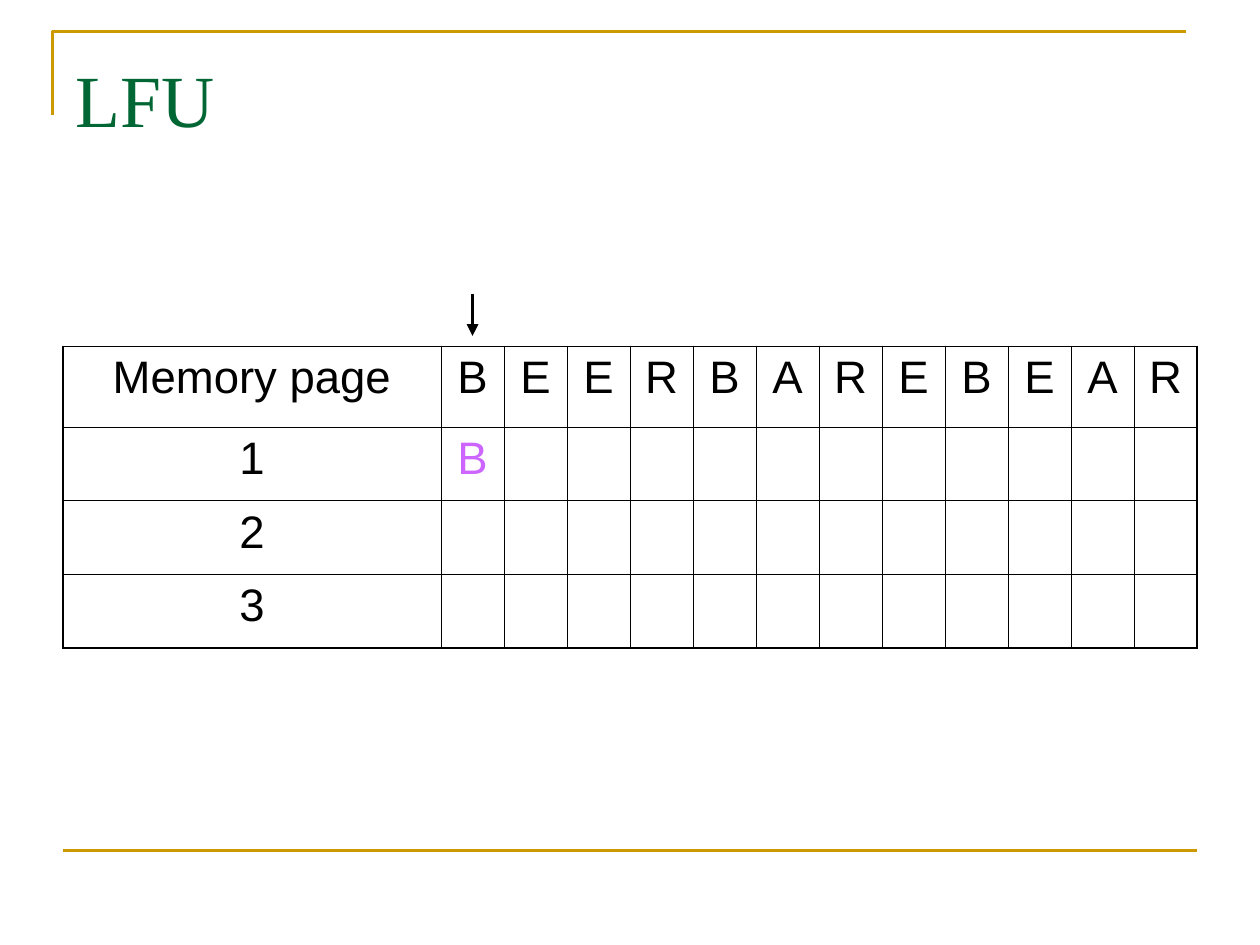
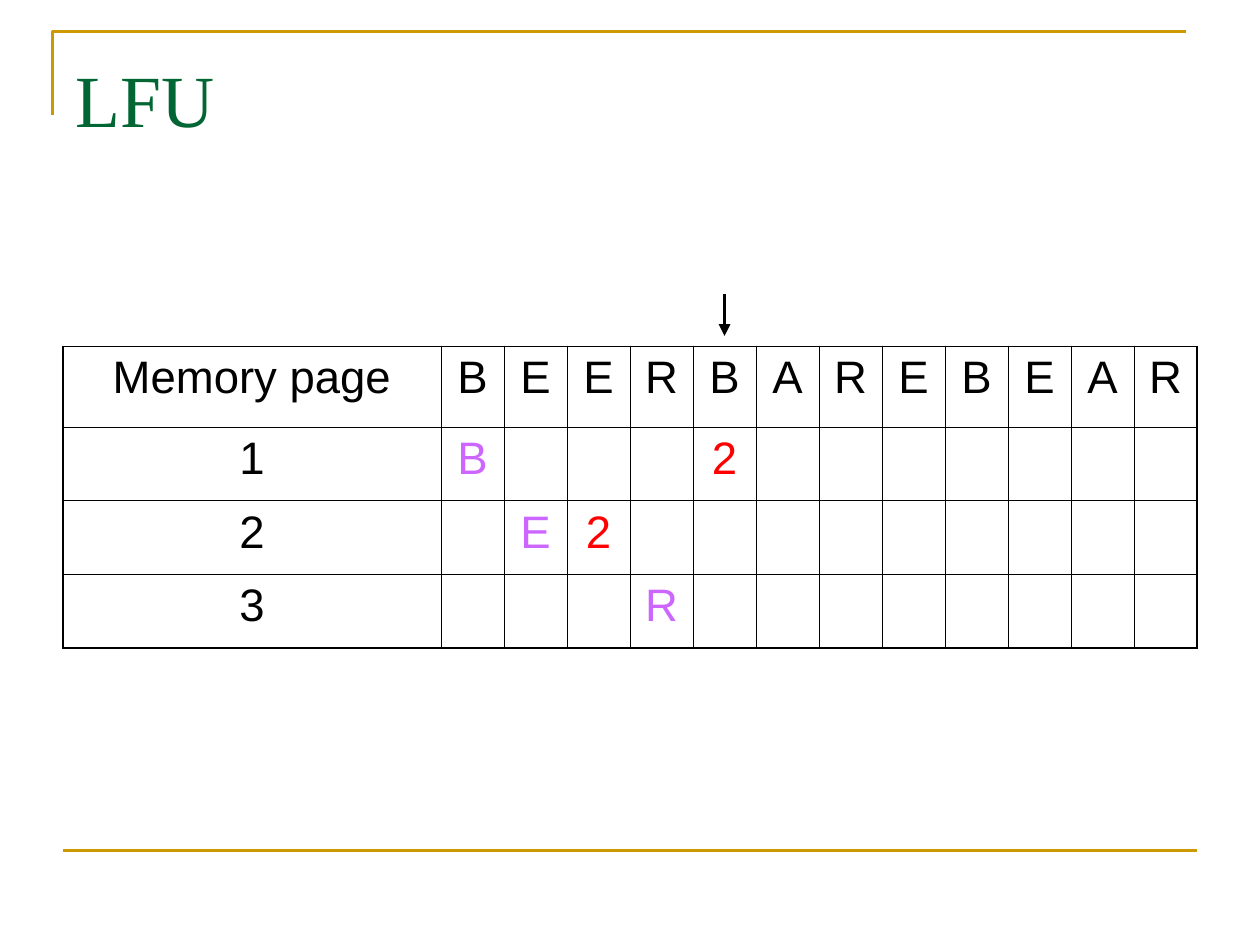
from dataclasses import dataclass

from lxml import etree
from pptx import Presentation
from pptx.dml.color import RGBColor
from pptx.enum.shapes import MSO_CONNECTOR
from pptx.enum.text import MSO_ANCHOR, PP_ALIGN
from pptx.oxml.ns import qn
from pptx.shapes.connector import Connector
from pptx.slide import Slide
from pptx.table import _Cell
from pptx.util import Pt

STRAIGHT = MSO_CONNECTOR.STRAIGHT
TOP = MSO_ANCHOR.TOP
LEFT = PP_ALIGN.LEFT
CENTER = PP_ALIGN.CENTER

BLACK = RGBColor(0x00, 0x00, 0x00)
GOLD = RGBColor(0xCC, 0x99, 0x00)
GREEN = RGBColor(0x00, 0x66, 0x33)
LOAD_COLOR = RGBColor(0xCC, 0x66, 0xFF)
HIT_COLOR = RGBColor(0xFF, 0x00, 0x00)

TITLE_FONT = "Times New Roman"
BODY_FONT = "Arial"
TITLE_ONLY_LAYOUT = 5

REFERENCES = "BEERBAREBEAR"
PAGE_COUNT = 3
TABLE_LEFT, TABLE_TOP = 36, 198
LABEL_WIDTH, STEP_WIDTH = 216, 36
HEADER_HEIGHT, PAGE_HEIGHT = 46.2, 42
THIN, THICK = 0.45, 1.08


@dataclass(frozen=True)
class Entry:
    page: int
    step: int
    text: str
    color: RGBColor


@dataclass(frozen=True)
class Stage:
    current_step: int
    entries: tuple[Entry, ...]


FIRST_LOAD = Entry(1, 1, "B", LOAD_COLOR)
STAGES = (
    Stage(1, (FIRST_LOAD,)),
    Stage(5, (
        FIRST_LOAD,
        Entry(2, 2, "E", LOAD_COLOR),
        Entry(2, 3, "2", HIT_COLOR),
        Entry(3, 4, "R", LOAD_COLOR),
        Entry(1, 5, "2", HIT_COLOR),
    )),
)


def add_line(slide: Slide, start: tuple[float, float], end: tuple[float, float],
             color: RGBColor, width: float) -> Connector:
    connector = slide.shapes.add_connector(
        STRAIGHT, Pt(start[0]), Pt(start[1]), Pt(end[0]), Pt(end[1]))
    connector.line.color.rgb = color
    connector.line.width = Pt(width)
    etree.SubElement(connector._element.spPr, qn("a:effectLst"))
    return connector


def add_frame(slide: Slide) -> None:
    builder = slide.shapes.build_freeform(Pt(30), Pt(66))
    builder.add_line_segments([(Pt(30), Pt(18)), (Pt(678), Pt(18))], close=False)
    corner = builder.convert_to_shape()
    corner.shadow.inherit = False
    corner.fill.background()
    corner.line.color.rgb = GOLD
    corner.line.width = Pt(1.5)
    add_line(slide, (36, 486), (684, 486), GOLD, 1.5)


def set_title(slide: Slide, text: str) -> None:
    title = slide.shapes.title
    title.left, title.top, title.width, title.height = Pt(36), Pt(21.6), Pt(648), Pt(90)
    frame = title.text_frame
    frame.text = text
    frame.vertical_anchor = TOP
    frame.margin_top = Pt(9)
    paragraph = frame.paragraphs[0]
    paragraph.alignment = LEFT
    paragraph.font.name = TITLE_FONT
    paragraph.font.size = Pt(42)
    paragraph.font.color.rgb = GREEN


def set_borders(cell: _Cell, widths: dict[str, float]) -> None:
    properties = cell._tc.get_or_add_tcPr()
    for index, (side, width) in enumerate(widths.items()):
        border = etree.Element(qn(f"a:ln{side}"), w=str(Pt(width)))
        fill = etree.SubElement(border, qn("a:solidFill"))
        etree.SubElement(fill, qn("a:srgbClr"), val=str(BLACK))
        properties.insert(index, border)


def write_cell(cell: _Cell, text: str, color: RGBColor = BLACK) -> None:
    cell.text = text
    paragraph = cell.text_frame.paragraphs[0]
    paragraph.alignment = CENTER
    paragraph.font.name = BODY_FONT
    paragraph.font.size = Pt(26)
    paragraph.font.color.rgb = color


def add_memory_table(slide: Slide, entries: tuple[Entry, ...]) -> None:
    last_row, last_column = PAGE_COUNT, len(REFERENCES)
    table = slide.shapes.add_table(
        last_row + 1, last_column + 1, Pt(TABLE_LEFT), Pt(TABLE_TOP),
        Pt(LABEL_WIDTH + last_column * STEP_WIDTH),
        Pt(HEADER_HEIGHT + last_row * PAGE_HEIGHT)).table
    table.first_row = False
    table.horz_banding = False
    for index, column in enumerate(table.columns):
        column.width = Pt(STEP_WIDTH if index else LABEL_WIDTH)
    for index, row in enumerate(table.rows):
        row.height = Pt(PAGE_HEIGHT if index else HEADER_HEIGHT)
        for position, cell in enumerate(row.cells):
            cell.fill.background()
            set_borders(cell, {
                "L": THICK if position == 0 else THIN,
                "R": THICK if position == last_column else THIN,
                "T": THICK if index == 0 else THIN,
                "B": THICK if index == last_row else THIN,
            })
    for step, text in enumerate(("Memory page", *REFERENCES)):
        write_cell(table.cell(0, step), text)
    for page in range(1, PAGE_COUNT + 1):
        write_cell(table.cell(page, 0), str(page))
    for entry in entries:
        write_cell(table.cell(entry.page, entry.step), entry.text, entry.color)


def add_step_arrow(slide: Slide, step: int) -> None:
    center = TABLE_LEFT + LABEL_WIDTH + (step - 0.5) * STEP_WIDTH
    arrow = add_line(slide, (center, 168), (center, 192), BLACK, 2.25)
    etree.SubElement(arrow.line._get_or_add_ln(), qn("a:tailEnd"), type="triangle")


def main() -> None:
    presentation = Presentation()
    presentation.slide_width, presentation.slide_height = Pt(720), Pt(540)
    layout = presentation.slide_layouts[TITLE_ONLY_LAYOUT]
    for stage in STAGES:
        slide = presentation.slides.add_slide(layout)
        add_frame(slide)
        set_title(slide, "LFU")
        add_memory_table(slide, stage.entries)
        add_step_arrow(slide, stage.current_step)
    presentation.save("out.pptx")


if __name__ == "__main__":
    main()
